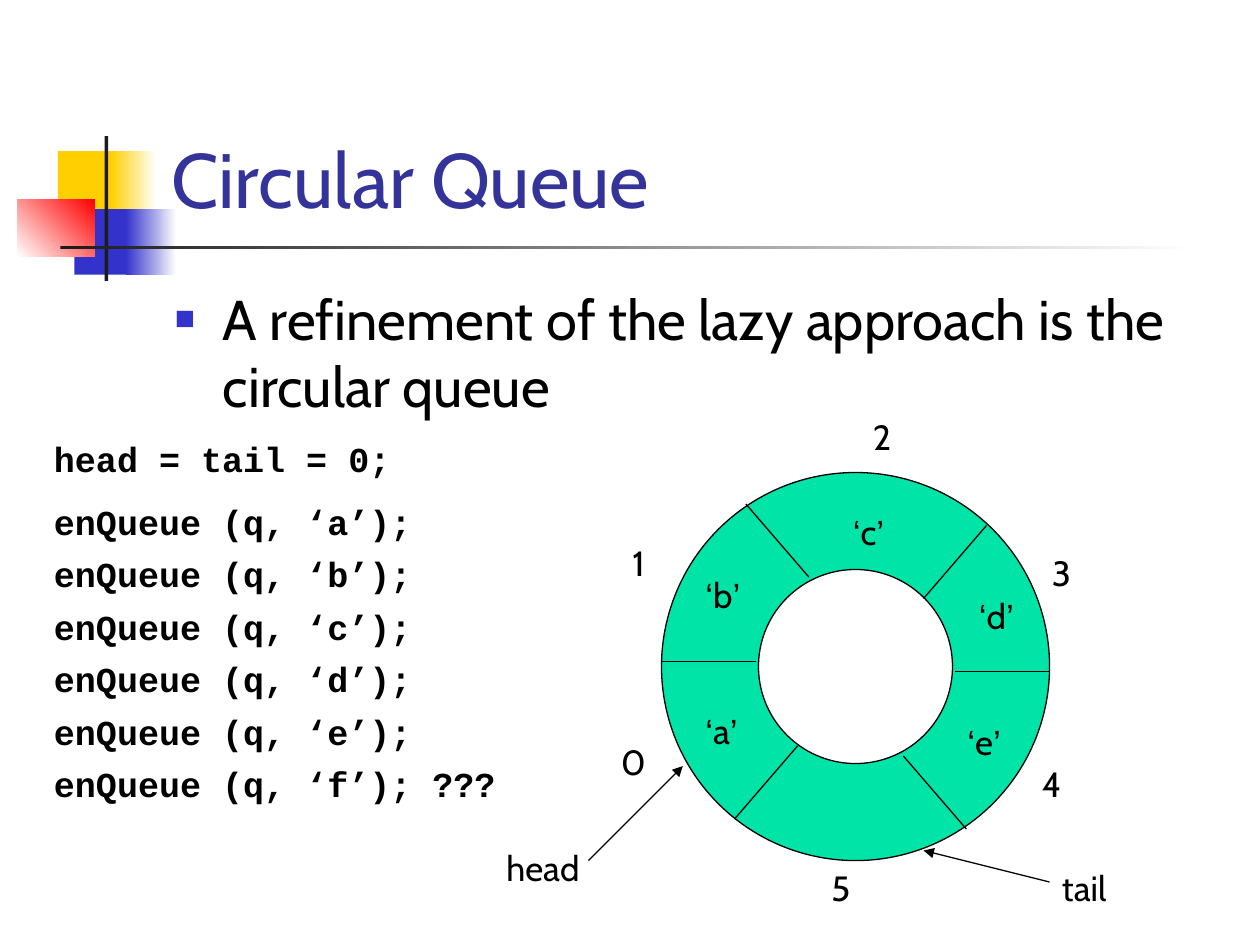
import pptx
import pptx.util
import pptx.dml.color
import pptx.enum.shapes
import pptx.enum.text
import pptx.oxml
import pptx.oxml.ns
import lxml.etree

Inches = pptx.util.Inches
Pt = pptx.util.Pt
SHAPE = pptx.enum.shapes.MSO_SHAPE
ANCHOR = pptx.enum.text.MSO_ANCHOR
qn = pptx.oxml.ns.qn

COLORS = {
    "black": "000000", "white": "FFFFFF", "charcoal": "1C1C1C",
    "yellow": "FFCF01", "blue": "3333CC", "red": "FF0000",
    "title": "333399", "ring": "00E4A8",
}


def rgb(name):
    return pptx.dml.color.RGBColor.from_string(COLORS[name])


def add_text(text, left, top, width, height=0.43, size=20, font="Cabin",
             color="black", bold=False, anchor=ANCHOR.TOP, quote_font=None):
    box = slide.shapes.add_textbox(Inches(left), Inches(top), Inches(width), Inches(height))
    box.text_frame.word_wrap = True
    box.text_frame.vertical_anchor = anchor
    paragraph = box.text_frame.paragraphs[0]
    for part in (text if quote_font else [text]):
        run = paragraph.add_run()
        run.text = part
        run.font.name = quote_font if part in "‘’" else font
        run.font.size = Pt(size)
        run.font.bold = bold
        run.font.color.rgb = rgb(color)
    return paragraph


presentation = pptx.Presentation()
presentation.slide_width = Inches(10)
presentation.slide_height = Inches(7.5)
slide = presentation.slides.add_slide(presentation.slide_layouts[6])

# Corner decoration: start colour, end colour (None is solid), angle
decoration = [
    (0.46, 1.2, 0.48, 0.52, "yellow", None, 0),
    (0.88, 1.2, 0.36, 0.52, "yellow", "white", 0),
    (0.59, 1.66, 0.46, 0.52, "blue", None, 0),
    (1, 1.66, 0.4, 0.52, "blue", "white", 0),
    (0.14, 1.58, 0.61, 0.46, "white", "red", 45),
    (0.83, 1.08, 0.03, 1.15, "charcoal", None, 0),
    (0.48, 1.95, 9, 0.03, "charcoal", "white", 0),
]
for left, top, width, height, start, end, angle in decoration:
    block = slide.shapes.add_shape(
        SHAPE.RECTANGLE, Inches(left), Inches(top), Inches(width), Inches(height))
    block.shadow.inherit = False
    block.line.fill.background()
    if end is None:
        block.fill.solid()
        block.fill.fore_color.rgb = rgb(start)
    else:
        block.fill.gradient()
        block.fill.gradient_angle = angle
        for stop, position, color in zip(block.fill.gradient_stops, (0, 1), (start, end)):
            stop.position = position
            stop.color.rgb = rgb(color)

# Title and bullet
add_text("Circular Queue", 1.26, 0.23, 8.52, 1.6, size=44, color="title", anchor=ANCHOR.BOTTOM)
refinement = add_text("A refinement of the lazy approach is the circular queue",
                      1.29, 2.21, 8.5, 4.5, size=32)
properties = refinement._p.get_or_add_pPr()
properties.set("marL", str(Inches(0.38)))
properties.set("indent", str(-Inches(0.38)))
bullet_color = lxml.etree.SubElement(properties, qn("a:buClr"))
lxml.etree.SubElement(bullet_color, qn("a:srgbClr"), val=COLORS["blue"])
lxml.etree.SubElement(properties, qn("a:buSzPct"), val="60000")
lxml.etree.SubElement(properties, qn("a:buFont"), typeface="Arial")
lxml.etree.SubElement(properties, qn("a:buChar"), char="■")

# Code lines
add_text("head = tail = 0;", 0.33, 3.42, 3.75, font="Courier New", bold=True)
for row, letter in enumerate("abcdef"):
    suffix = " ???" if letter == "f" else ""
    add_text(f"enQueue (q, ‘{letter}’);{suffix}", 0.33, 3.92 + row * 5 / 12, 3.75,
             font="Courier New", bold=True)

# Ring
ring = slide.shapes.add_shape(SHAPE.DONUT, Inches(5.25), Inches(3.75), Inches(3.08), Inches(3.08))
ring.adjustments[0] = 0.25
ring.shadow.inherit = False
ring.fill.solid()
ring.fill.fore_color.rgb = rgb("ring")
ring.line.color.rgb = rgb("black")
ring.line.width = Pt(0.75)

# Slot dividers, then the head and tail arrows
dividers = [
    (5.25, 5.25, 6, 5.25), (5.83, 6.5, 6.33, 5.92), (7.58, 5.33, 8.33, 5.33),
    (7.33, 4.75, 7.83, 4.17), (7.17, 6, 7.67, 6.58), (5.92, 4, 6.42, 4.58),
]
pointers = [(4.67, 6.83, 5.42, 6.08), (8.33, 7, 7.33, 6.75)]
for ends in dividers + pointers:
    line = slide.shapes.add_connector(
        pptx.enum.shapes.MSO_CONNECTOR.STRAIGHT, *[Inches(value) for value in ends])
    line.line.color.rgb = rgb("black")
    line.line.width = Pt(0.75)
    if ends in pointers:
        lxml.etree.SubElement(line.line._get_or_add_ln(), qn("a:tailEnd"), type="triangle")
    lxml.etree.SubElement(line._element.spPr, qn("a:effectLst"))

# Slot numbers
number_places = [(4.83, 5.83), (4.92, 4.25), (6.83, 3.25), (8.25, 4.33), (8.17, 6), (6.5, 6.83)]
for number, (left, top) in enumerate(number_places):
    add_text(str(number), left, top, 0.5)

# Slot contents
letter_places = [(5.5, 5.58), (5.5, 4.5), (6.67, 4), (7.67, 4.67), (7.58, 5.67)]
for letter, (left, top) in zip("abcde", letter_places):
    add_text(f"‘{letter}’", left, top, 0.5, quote_font="Arial")

# Pointer names
add_text("tail", 8.33, 6.83, 0.75)
add_text("head", 3.92, 6.67, 1.08)

presentation.save("out.pptx")
